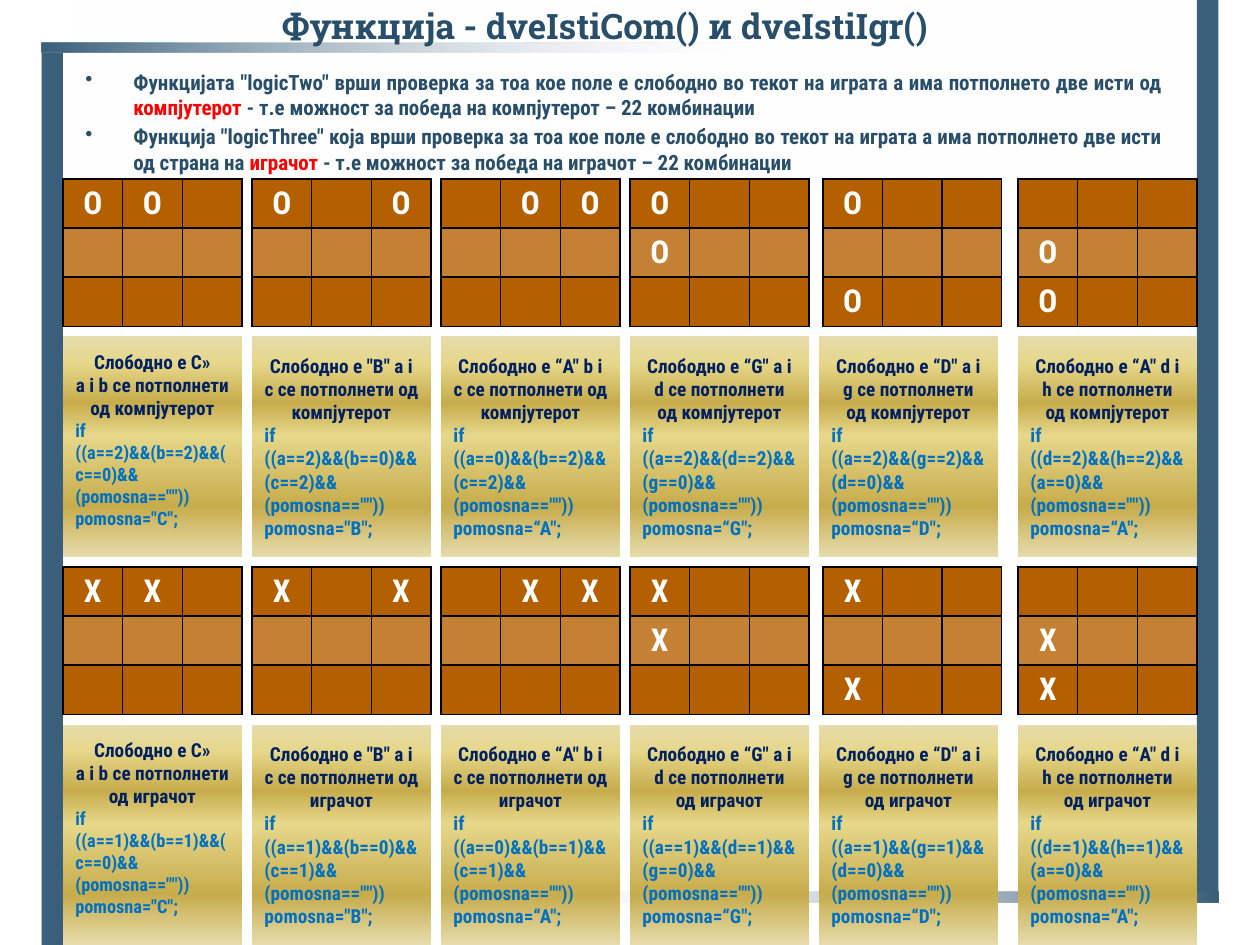
from lxml.etree import SubElement
from pptx import Presentation
from pptx.dml.color import RGBColor
from pptx.enum.shapes import MSO_SHAPE
from pptx.enum.text import MSO_ANCHOR, PP_ALIGN
from pptx.oxml.ns import qn
from pptx.util import Inches, Pt

# Content
TITLE = "Функција - dveIstiCom() и dveIstiIgr() "
BULLETS = [
    [("Функцијата \"logicTwo\" врши проверка за тоа кое поле е слободно во текот на играта "
      "а има потполнето две исти од ", "ink"),
     ("компјутерот", "accent"),
     (" - т.е можност за победа на компјутерот – 22 комбинации", "ink")],
    [("Функција \"logicThree\" која врши проверка за тоа кое поле е слободно во текот на играта "
      "а има потполнето две исти од страна на ", "ink"),
     ("играчот", "accent"),
     (" - т.е можност за победа на играчот – 22 комбинации", "ink")],
]
# Each board maps (row, column) to the computer's mark
BOARDS = [
    {(0, 0): "О", (0, 1): "О"},
    {(0, 0): "О", (0, 2): "О"},
    {(0, 1): "О", (0, 2): "О"},
    {(0, 0): "О", (1, 0): "О"},
    {(0, 0): "О", (2, 0): "O"},
    {(1, 0): "O", (2, 0): "O"},
]
# Heading paragraphs, then code paragraphs
CARDS = [
    (["Слободно е C»", "a i b се потполнети од {who}"],
     ["if ((a=={n})&&(b=={n})&&(c==0)&&", "(pomosna==\"\")) pomosna=\"C\";"]),
    (["Слободно е \"B\" a i c се потполнети од {who}"],
     ["if", "((a=={n})&&(b==0)&&(c=={n})&&", "(pomosna==\"\")) pomosna=\"B\";"]),
    (["Слободно е “A\" b i c се потполнети од {who}"],
     ["if", "((a==0)&&(b=={n})&&(c=={n})&&", "(pomosna==\"\")) pomosna=“A\";"]),
    (["Слободно е “G\" a i d се потполнети од {who}"],
     ["if", "((a=={n})&&(d=={n})&&(g==0)&&", "(pomosna==\"\")) pomosna=“G\";"]),
    (["Слободно е “D\" a i g се потполнети од {who}"],
     ["if", "((a=={n})&&(g=={n})&&(d==0)&&", "(pomosna==\"\")) pomosna=“D\";"]),
    (["Слободно е “A\" d i h се потполнети од {who}"],
     ["if", "((d=={n})&&(h=={n})&&(a==0)&&", "(pomosna==\"\")) pomosna=“A\";"]),
]
# One band per player; the mark None keeps the marks of BOARDS
PLAYERS = [
    {"who": "компјутерот", "n": 2, "mark": None},
    {"who": "играчот", "n": 1, "mark": "X"},
]

# Theme
THEME = {
    "ink": "284E6A", "accent": "FF0000", "frame": "3A5F7B", "white": "FFFFFF",
    "heading": "002060", "code": "0070C0", "border": "000000",
    "board": "B56000", "board_middle": "C48033",
    "title_font": "Roboto Slab", "body_font": "Roboto Condensed",
    "title_size": 20, "body_size": 12, "mark_size": 18, "card_size": 11, "tight_size": 10.5,
    "gold": [(0, "E6DCAC", 100), (12, "E6D78A", 100), (30, "C7AC4C", 100),
             (45, "E6D78A", 100), (77, "C7AC4C", 100), (100, "E6DCAC", 100)],
    "fade": [(0, "3A5F7B", 100), (65, "FFFFFF", 0), (100, "FFFFFF", 0)],
    "veil": [(0, "FFFFFF", 50), (100, "FFFFFF", 0)],
}

# Grid, in inches
LEFT, COLUMN_STEP, PART_WIDTH = 0.5, 1.5, 1.42
BAND_TOP, BAND_STEP = 1.42, 3.08
ROW_HEIGHT, CARD_OFFSET, CARD_HEIGHT = 0.39, 1.25, 1.75
LAST_COLUMN_SHIFT = 0.08
BOARD_SHIFT = {4: 0.03}

# Frame: position, gradient name or colour name, angle
FRAME = [
    ((0.5, 0, 9, 7.08), "veil", 180),
    ((0.5, 0.42, 9, 7.08), "veil", 0),
    ((9.5, 0, 0.17, 7.08), "frame", None),
    ((0.33, 0.42, 0.17, 7.08), "frame", None),
    ((0.5, 7.08, 9.17, 0.08), "fade", 180),
    ((0.33, 0.34, 9.17, 0.08), "fade", 0),
]


def apply(target, values):
    for name, value in values.items():
        setattr(target, name, value)


def color(name):
    return RGBColor.from_string(THEME[name])


def add_run(paragraph, text, color_name, size, font="body_font"):
    run = paragraph.add_run()
    run.text = text
    apply(run.font, {"name": THEME[font], "size": Pt(THEME[size]), "bold": True})
    run.font.color.rgb = color(color_name)


def set_gradient(shape, stops, angle):
    shape.fill.gradient()
    gradient = shape._element.spPr.find(qn("a:gradFill"))
    for child in list(gradient):
        gradient.remove(child)
    stop_list = SubElement(gradient, qn("a:gsLst"))
    for position, value, opacity in stops:
        stop = SubElement(stop_list, qn("a:gs"), pos=str(position * 1000))
        stop_color = SubElement(stop, qn("a:srgbClr"), val=value)
        if opacity < 100:
            SubElement(stop_color, qn("a:alpha"), val=str(opacity * 1000))
    SubElement(gradient, qn("a:lin"), ang=str(angle * 60000), scaled="0")


def add_rectangle(slide, box, fill, angle=None):
    shape = slide.shapes.add_shape(MSO_SHAPE.RECTANGLE, *map(Inches, box))
    shape.shadow.inherit = False
    shape.line.fill.background()
    if angle is None:
        shape.fill.solid()
        shape.fill.fore_color.rgb = color(fill)
    else:
        set_gradient(shape, THEME[fill], angle)
    return shape


def add_text_frame(slide, box, anchor):
    frame = slide.shapes.add_textbox(*map(Inches, box)).text_frame
    apply(frame, {"word_wrap": True, "vertical_anchor": anchor})
    return frame


def next_paragraph(frame, index):
    return frame.paragraphs[0] if index == 0 else frame.add_paragraph()


def add_bullets(slide):
    frame = add_text_frame(slide, (0.58, 0.5, 8.75, 0.92), MSO_ANCHOR.TOP)
    for index, runs in enumerate(BULLETS):
        paragraph = next_paragraph(frame, index)
        apply(paragraph, {"alignment": PP_ALIGN.JUSTIFY, "space_before": Pt(2.4)})
        properties = paragraph._p.get_or_add_pPr()
        properties.set("marL", str(Inches(0.38)))
        properties.set("indent", str(-Inches(0.38)))
        SubElement(properties, qn("a:buChar"), char="•")
        for text, color_name in runs:
            add_run(paragraph, text, color_name, "body_size")


def add_borders(cell):
    properties = cell._tc.get_or_add_tcPr()
    for index, side in enumerate(("a:lnL", "a:lnR", "a:lnT", "a:lnB")):
        line = properties.makeelement(qn(side), {"w": str(Pt(1))})
        properties.insert(index, line)
        fill = SubElement(line, qn("a:solidFill"))
        SubElement(fill, qn("a:srgbClr"), val=THEME["border"])


def add_board(slide, left, top, marks, mark):
    box = (left, top, PART_WIDTH, 3 * ROW_HEIGHT)
    table = slide.shapes.add_table(3, 3, *map(Inches, box)).table
    for row in range(3):
        for column in range(3):
            cell = table.cell(row, column)
            apply(cell, {"vertical_anchor": MSO_ANCHOR.MIDDLE,
                         "margin_top": Inches(0.04), "margin_bottom": Inches(0.04)})
            cell.fill.solid()
            cell.fill.fore_color.rgb = color("board_middle" if row == 1 else "board")
            add_borders(cell)
            if (row, column) in marks:
                paragraph = cell.text_frame.paragraphs[0]
                paragraph.alignment = PP_ALIGN.CENTER
                add_run(paragraph, mark or marks[row, column], "white", "mark_size")


def add_card(slide, left, top, headings, code, player):
    shape = add_rectangle(slide, (left, top, PART_WIDTH, CARD_HEIGHT), "gold", 90)
    frame = shape.text_frame
    apply(frame, {"word_wrap": True, "vertical_anchor": MSO_ANCHOR.MIDDLE})
    tight = len(headings) > 1
    if tight:
        frame.margin_bottom = Inches(0.16)
    code_size = "tight_size" if tight else "card_size"
    code_alignment = PP_ALIGN.JUSTIFY if tight else PP_ALIGN.LEFT
    lines = [(text, "heading", "card_size", PP_ALIGN.CENTER) for text in headings]
    lines += [(text, "code", code_size, code_alignment) for text in code]
    for index, (text, color_name, size, alignment) in enumerate(lines):
        paragraph = next_paragraph(frame, index)
        paragraph.alignment = alignment
        add_run(paragraph, text.format(**player), color_name, size)


def main():
    presentation = Presentation()
    apply(presentation, {"slide_width": Inches(10), "slide_height": Inches(7.5)})
    slide = presentation.slides.add_slide(presentation.slide_layouts[6])

    # Frame, title and bullets
    for box, fill, angle in FRAME:
        add_rectangle(slide, box, fill, angle)
    title = add_text_frame(slide, (0.42, 0, 8.83, 0.42), MSO_ANCHOR.BOTTOM).paragraphs[0]
    title.alignment = PP_ALIGN.CENTER
    add_run(title, TITLE, "ink", "title_size", "title_font")
    add_bullets(slide)

    # A band of boards and cards for each player
    for band, player in enumerate(PLAYERS):
        top = BAND_TOP + band * BAND_STEP
        for column, (marks, (headings, code)) in enumerate(zip(BOARDS, CARDS)):
            left = LEFT + column * COLUMN_STEP
            if column == len(CARDS) - 1:
                left += LAST_COLUMN_SHIFT
            add_board(slide, left + BOARD_SHIFT.get(column, 0), top, marks, player["mark"])
            add_card(slide, left, top + CARD_OFFSET, headings, code, player)

    presentation.save("out.pptx")


if __name__ == "__main__":
    main()
